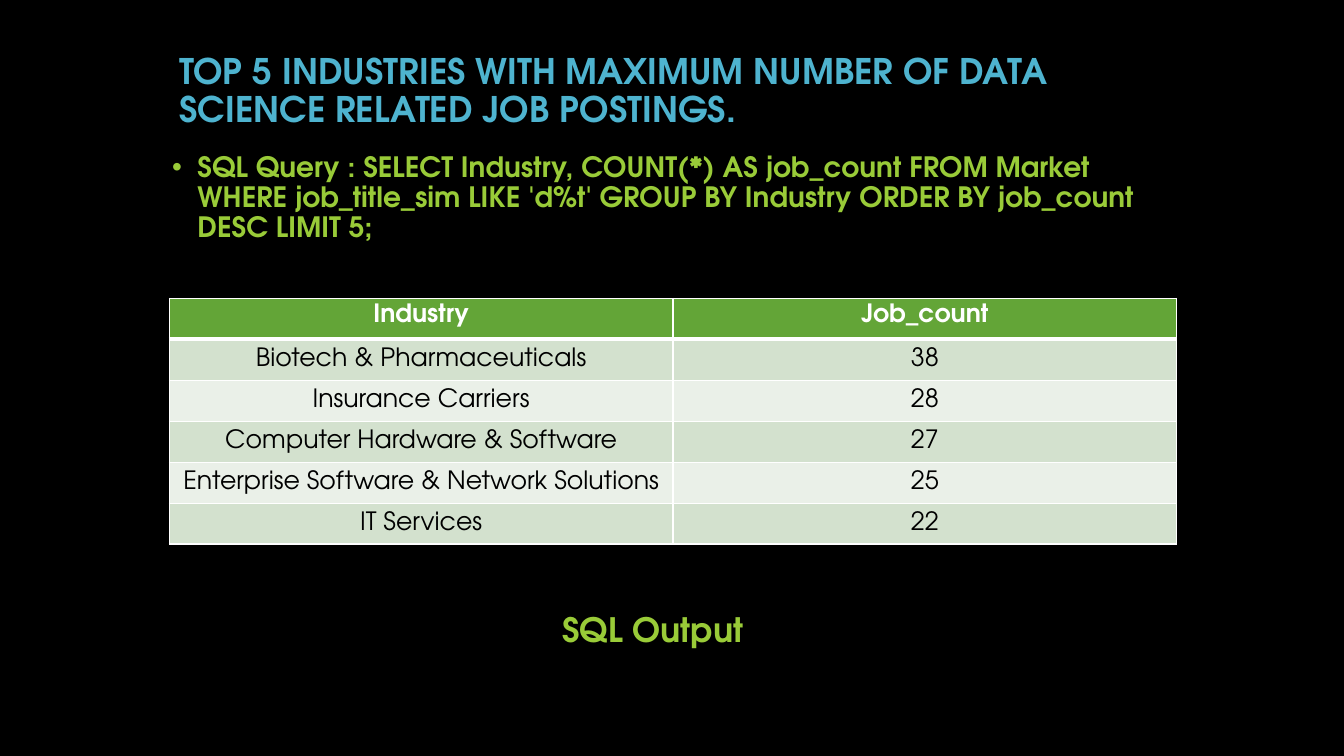
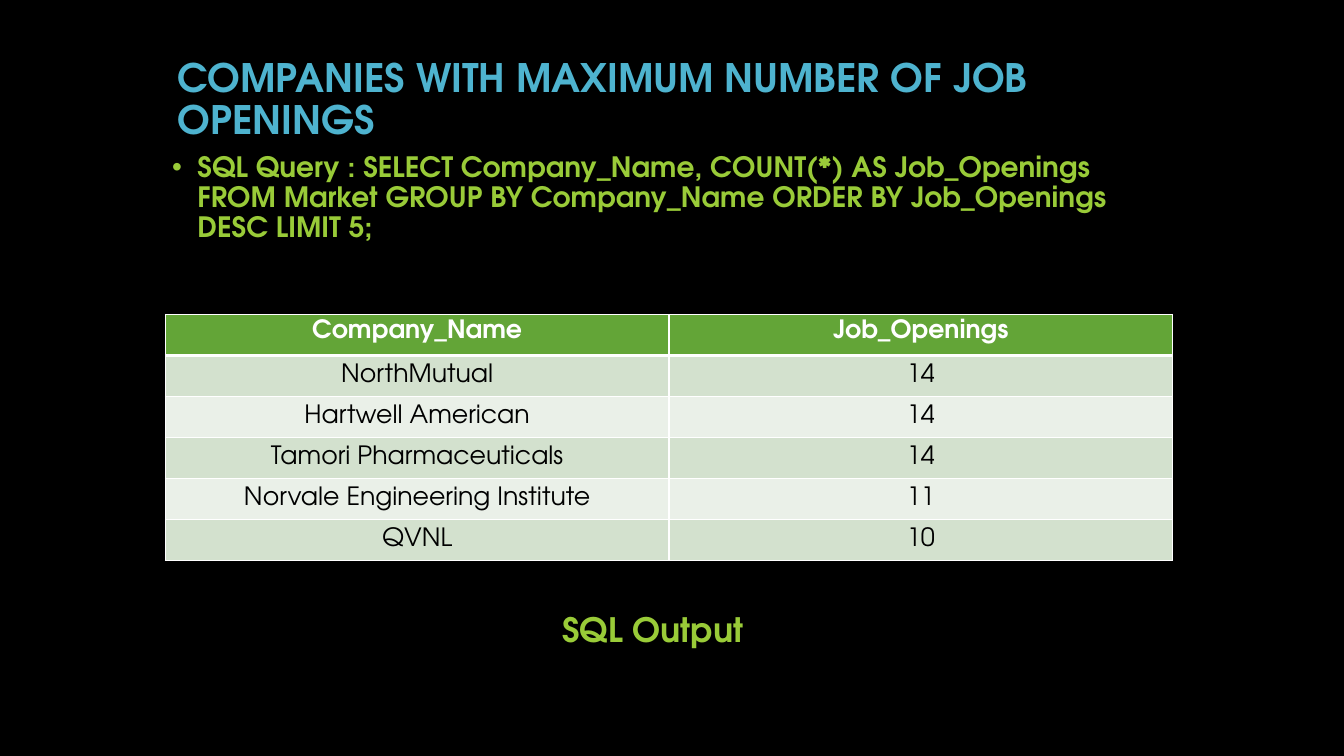
from dataclasses import dataclass

from lxml.etree import SubElement
from pptx import Presentation
from pptx.dml.color import RGBColor
from pptx.enum.text import MSO_ANCHOR as Anchor, PP_ALIGN as Align
from pptx.oxml import parse_xml
from pptx.oxml.ns import nsdecls, qn
from pptx.util import Inches, Pt


@dataclass(frozen=True)
class Theme:
    font: str = "TeX Gyre Adventor"
    background: str = "000000"
    title: str = "4EB3CF"
    accent: str = "99CB38"
    header: str = "63A537"
    bands: tuple[str, str] = ("D3E1CE", "EAF0E8")
    border: str = "FFFFFF"
    header_text: str = "FFFFFF"
    cell_text: str = "000000"
    query_size: float = 20
    cell_size: float = 18
    caption_size: float = 24
    thin: float = 1
    thick: float = 3


@dataclass(frozen=True)
class Box:
    left: float
    top: float
    width: float
    height: float

    def emu(self) -> tuple[int, ...]:
        return tuple(Inches(v) for v in (self.left, self.top, self.width, self.height))


@dataclass(frozen=True)
class QuerySlide:
    title: str
    title_size: float
    title_box: Box
    query: str
    table_box: Box
    header: tuple[str, str]
    rows: tuple[tuple[str, int], ...]


THEME = Theme()
QUERY_BOX = Box(1.61, 1.47, 10.05, 1.02)
CAPTION_BOX = Box(5.48, 6.04, 3.23, 0.71)
HANGING = 0.25

SLIDES = (
    QuerySlide(
        "TOP 5 INDUSTRIES WITH MAXIMUM NUMBER OF DATA SCIENCE RELATED JOB POSTINGS.",
        25.2,
        Box(1.68, 0.47, 10, 0.87),
        "SQL Query : SELECT Industry, COUNT(*) AS job_count FROM Market "
        "WHERE job_title_sim LIKE 'd%t' GROUP BY Industry ORDER BY job_count DESC LIMIT 5;",
        Box(1.68, 2.96, 9.99, 2.44),
        ("Industry", "Job_count"),
        (
            ("Biotech & Pharmaceuticals", 38),
            ("Insurance Carriers", 28),
            ("Computer Hardware & Software", 27),
            ("Enterprise Software & Network Solutions", 25),
            ("IT Services", 22),
        ),
    ),
    QuerySlide(
        "COMPANIES WITH MAXIMUM NUMBER OF JOB OPENINGS",
        28,
        Box(1.66, 0.6, 10, 0.87),
        "SQL Query : SELECT Company_Name, COUNT(*) AS Job_Openings "
        "FROM Market GROUP BY Company_Name ORDER BY Job_Openings DESC LIMIT 5;",
        Box(1.64, 3.12, 9.99, 2.44),
        ("Company_Name", "Job_Openings"),
        (
            ("NorthMutual", 14),
            ("Hartwell American", 14),
            ("Tamori Pharmaceuticals", 14),
            ("Norvale Engineering Institute", 11),
            ("QVNL", 10),
        ),
    ),
)


def style_runs(p, size: float, color: str, bold: bool = True) -> None:
    for r in p.runs:
        r.font.name = THEME.font
        r.font.size = Pt(size)
        r.font.bold = bold
        r.font.color.rgb = RGBColor.from_string(color)


def add_text(slide, box: Box, text: str, size: float, color: str,
             anchor: Anchor = Anchor.TOP, space_before: float = 0):
    tf = slide.shapes.add_textbox(*box.emu()).text_frame
    tf.word_wrap = True
    tf.vertical_anchor = anchor
    p = tf.paragraphs[0]
    p.text = text
    p.line_spacing = 0.9
    p.space_before = Pt(space_before)
    style_runs(p, size, color)
    return p


def add_bullet(p, color: str) -> None:
    pPr = p._p.get_or_add_pPr()
    pPr.set("marL", str(Inches(HANGING)))
    pPr.set("indent", str(-Inches(HANGING)))
    SubElement(SubElement(pPr, qn("a:buClr")), qn("a:srgbClr"), val=color)
    SubElement(pPr, qn("a:buFont"), typeface="Arial")
    SubElement(pPr, qn("a:buChar"), char="•")


def set_borders(cell, top: float, bottom: float) -> None:
    # Border lines must come before the fill in the cell properties
    tcPr = cell._tc.get_or_add_tcPr()
    widths = {"lnL": THEME.thin, "lnR": THEME.thin, "lnT": top, "lnB": bottom}
    for i, (side, width) in enumerate(widths.items()):
        tcPr.insert(i, parse_xml(
            f'<a:{side} {nsdecls("a")} w="{Pt(width)}"><a:solidFill>'
            f'<a:srgbClr val="{THEME.border}"/></a:solidFill></a:{side}>'))


def add_result_table(slide, data: QuerySlide) -> None:
    rows = (data.header, *data.rows)
    table = slide.shapes.add_table(len(rows), len(data.header), *data.table_box.emu()).table
    for i, row in enumerate(rows):
        is_header = i == 0
        fill = THEME.header if is_header else THEME.bands[(i - 1) % 2]
        for j, value in enumerate(row):
            cell = table.cell(i, j)
            cell.margin_top = Inches(0.05 if is_header else 0)
            cell.margin_bottom = 0
            cell.margin_left = cell.margin_right = Inches(0.07)
            cell.vertical_anchor = Anchor.TOP if is_header else Anchor.MIDDLE
            cell.fill.solid()
            cell.fill.fore_color.rgb = RGBColor.from_string(fill)
            set_borders(cell, THEME.thick if i == 1 else THEME.thin,
                        THEME.thick if is_header else THEME.thin)
            p = cell.text_frame.paragraphs[0]
            p.text = str(value)
            p.alignment = Align.CENTER
            style_runs(p, THEME.cell_size,
                       THEME.header_text if is_header else THEME.cell_text, is_header)


def add_query_slide(prs, data: QuerySlide) -> None:
    slide = prs.slides.add_slide(prs.slide_layouts[6])

    # Title
    add_text(slide, data.title_box, data.title, data.title_size, THEME.title, Anchor.BOTTOM)

    # Query and its result
    query = add_text(slide, QUERY_BOX, data.query, THEME.query_size, THEME.accent,
                     space_before=18)
    add_bullet(query, THEME.accent)
    add_result_table(slide, data)

    # Caption
    add_text(slide, CAPTION_BOX, "SQL Output", THEME.caption_size, THEME.accent,
             space_before=18)


def main() -> None:
    prs = Presentation()
    prs.slide_width, prs.slide_height = Inches(13.33), Inches(7.5)

    # Shared background
    fill = prs.slide_master.background.fill
    fill.solid()
    fill.fore_color.rgb = RGBColor.from_string(THEME.background)

    for data in SLIDES:
        add_query_slide(prs, data)
    prs.save("out.pptx")


if __name__ == "__main__":
    main()
